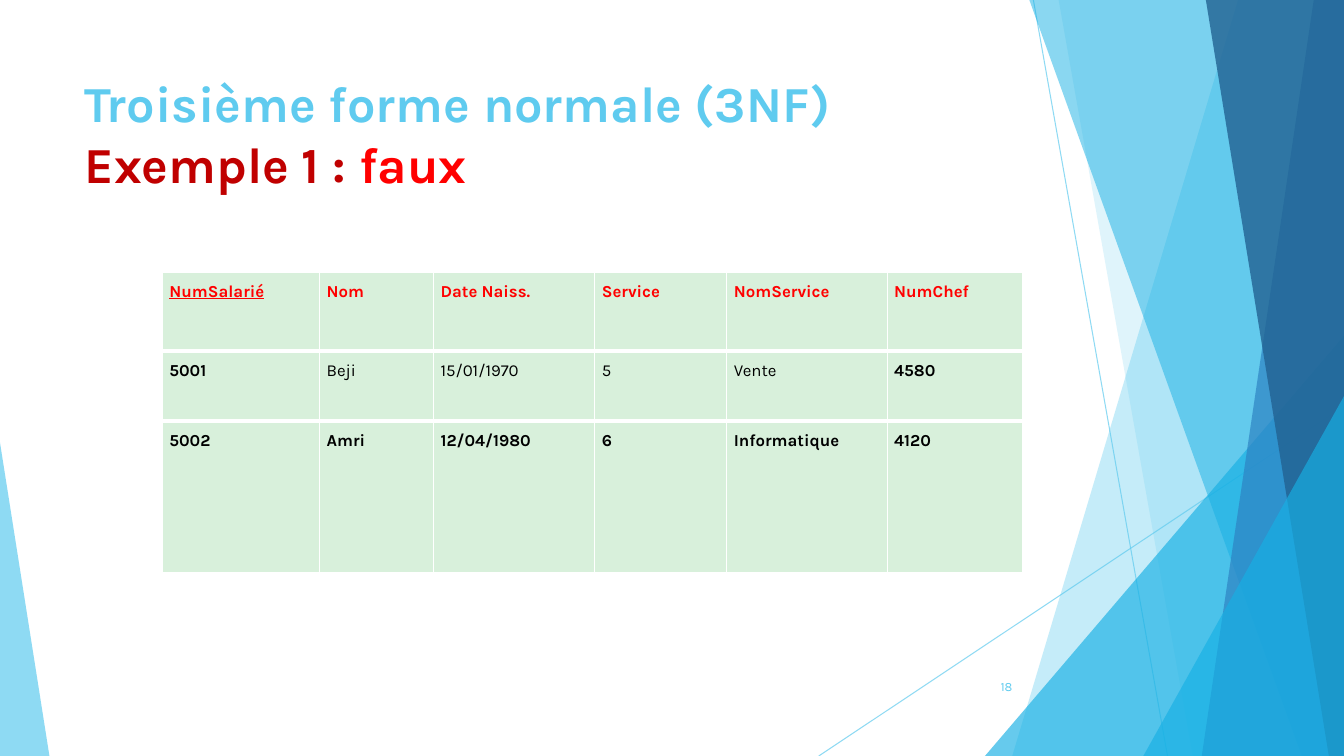
from dataclasses import dataclass

from lxml import etree
from pptx import Presentation
from pptx import util as u
from pptx.dml.color import RGBColor
from pptx.enum import shapes, text
from pptx.oxml import ns


@dataclass(frozen=True)
class Theme:
    font: str = "Karla"
    sky: str = "5FCBEF"
    cyan: str = "17B0E4"
    blue: str = "2E83C3"
    navy: str = "226292"
    crimson: str = "C00000"
    red: str = "FF0000"
    black: str = "000000"
    white: str = "FFFFFF"
    mint: str = "D8F0DB"
    title_size: int = 36
    table_size: int = 12
    number_size: int = 9


THEME = Theme()
WIDTH, HEIGHT = u.Inches(13.33), u.Inches(7.5)

HEADINGS = ("NumSalarié", "Nom", "Date Naiss.", "Service", "NomService", "NumChef")
EMPLOYEES = (
    ("5001", "Beji", "15/01/1970", "5", "Vente", "4580"),
    ("5002", "Amri", "12/04/1980", "6", "Informatique", "4120"),
)
COLUMN_WEIGHTS = (1.56, 1.13, 1.6, 1.31, 1.59, 1.34)
ROW_WEIGHTS = (0.78, 0.7, 1.5)
REGULAR_CELLS = {(1, column) for column in range(1, 5)}


def across(percent):
    return round(WIDTH * percent / 100)


def down(percent):
    return round(HEIGHT * percent / 100)


def area(left, top, width, height):
    """Turn percentages of the slide into a box."""
    return across(left), down(top), across(width), down(height)


def set_alpha(fill_parent, percent):
    color = next(fill_parent.iter(ns.qn("a:srgbClr")))
    etree.SubElement(color, ns.qn("a:alpha"), val=str(percent * 1000))


def paint(shape, color, opacity):
    shape.shadow.inherit = False
    shape.line.fill.background()
    shape.fill.solid()
    shape.fill.fore_color.rgb = RGBColor.from_string(color)
    set_alpha(shape.fill._xPr, opacity)


def style(run, size, color, bold=False):
    run.font.name = THEME.font
    run.font.size = u.Pt(size)
    run.font.bold = bold
    run.font.color.rgb = RGBColor.from_string(color)


def add_hairline(slide, start, end):
    hairline = slide.shapes.add_connector(
        shapes.MSO_CONNECTOR.STRAIGHT,
        across(start[0]), down(start[1]), across(end[0]), down(end[1]))
    hairline.line.width = u.Pt(0.75)
    hairline.line.color.rgb = RGBColor.from_string(THEME.sky)
    properties = hairline._element.spPr
    set_alpha(properties, 70)
    etree.SubElement(properties, ns.qn("a:effectLst"))


def add_band(slide, top_x, bottom_x, color, opacity):
    """Fill from a slanted left edge to the right edge of the slide."""
    outline = slide.shapes.build_freeform(across(top_x), 0)
    outline.add_line_segments(
        [(WIDTH, 0), (WIDTH, HEIGHT), (across(bottom_x), HEIGHT)], close=True)
    paint(outline.convert_to_shape(), color, opacity)


def add_corner(slide, left, top, width, apex, color, opacity):
    """Stand a right triangle on the bottom edge of the slide."""
    corner = slide.shapes.add_shape(
        shapes.MSO_SHAPE.ISOSCELES_TRIANGLE, *area(left, top, width, 100 - top))
    corner.adjustments[0] = apex
    paint(corner, color, opacity)


def add_backdrop(slide):
    add_hairline(slide, (76.89, 0), (86.87, 100))
    add_hairline(slide, (100, 53.73), (60.92, 100))
    add_band(slide, 92.12, 75.32, THEME.sky, 36)
    add_band(slide, 78.77, 88.75, THEME.sky, 20)
    add_corner(slide, 73.29, 44.4, 26.71, 1, THEME.cyan, 66)
    add_band(slide, 76.59, 96.85, THEME.cyan, 50)
    add_band(slide, 97.75, 89.42, THEME.blue, 70)
    add_band(slide, 89.72, 98.87, THEME.navy, 80)
    add_corner(slide, 85.07, 52.4, 14.93, 1, THEME.cyan, 66)
    add_corner(slide, 0, 58.53, 3.68, 0, THEME.sky, 70)


def add_title(slide, box):
    frame = slide.shapes.add_textbox(*box).text_frame
    frame.word_wrap = True
    frame.vertical_anchor = text.MSO_ANCHOR.TOP
    heading = frame.paragraphs[0]
    heading.text = "Troisième forme normale (3NF)\v"
    for words in ("Exemple 1 : ", "faux"):
        heading.add_run().text = words
    for run, color in zip(heading.runs, (THEME.sky, THEME.crimson, THEME.red)):
        style(run, THEME.title_size, color, bold=True)


def add_borders(cell, top, bottom):
    properties = cell._tc.get_or_add_tcPr()
    sides = (("L", 1), ("R", 1), ("T", top), ("B", bottom))
    for position, (side, points) in enumerate(sides):
        border = etree.Element(ns.qn(f"a:ln{side}"), w=str(u.Pt(points)))
        fill = etree.SubElement(border, ns.qn("a:solidFill"))
        etree.SubElement(fill, ns.qn("a:srgbClr"), val=THEME.white)
        properties.insert(position, border)


def fill_cell(cell, words, color, bold):
    cell.margin_left = cell.margin_right = u.Inches(0.07)
    cell.margin_top = cell.margin_bottom = 0
    cell.fill.solid()
    cell.fill.fore_color.rgb = RGBColor.from_string(THEME.mint)
    cell.text_frame.text = words
    entry = cell.text_frame.paragraphs[0]
    entry.alignment = text.PP_ALIGN.JUSTIFY
    entry.line_spacing = 1.5
    style(entry.runs[0], THEME.table_size, color, bold)


def add_employee_table(slide, box):
    records = (HEADINGS, *EMPLOYEES)
    table = slide.shapes.add_table(len(records), len(HEADINGS), *box).table
    for column, weight in zip(table.columns, COLUMN_WEIGHTS):
        column.width = round(box[2] * weight / sum(COLUMN_WEIGHTS))
    for row, weight in zip(table.rows, ROW_WEIGHTS):
        row.height = round(box[3] * weight / sum(ROW_WEIGHTS))
    last = len(records) - 1
    for r, record in enumerate(records):
        for c, words in enumerate(record):
            cell = table.cell(r, c)
            fill_cell(cell, words, THEME.black if r else THEME.red,
                      (r, c) not in REGULAR_CELLS)
            add_borders(cell, top=3 if r else 1, bottom=3 if r < last else 1)
    primary_key = table.cell(0, 0).text_frame.paragraphs[0].runs[0]
    primary_key.font.underline = True


def add_slide_number(slide, box):
    frame = slide.shapes.add_textbox(*box).text_frame
    frame.word_wrap = True
    frame.vertical_anchor = text.MSO_ANCHOR.MIDDLE
    frame.text = "18"
    number = frame.paragraphs[0]
    number.alignment = text.PP_ALIGN.RIGHT
    style(number.runs[0], THEME.number_size, THEME.sky)


def main():
    deck = Presentation()
    deck.slide_width, deck.slide_height = WIDTH, HEIGHT
    slide = deck.slides.add_slide(deck.slide_layouts[6])
    add_backdrop(slide)
    add_title(slide, area(5.55, 8.93, 70.52, 19.2))
    add_employee_table(slide, area(12.08, 36, 63.99, 39.73))
    add_slide_number(slide, area(70.44, 88.13, 5.63, 5.33))
    deck.save("out.pptx")


if __name__ == "__main__":
    main()
